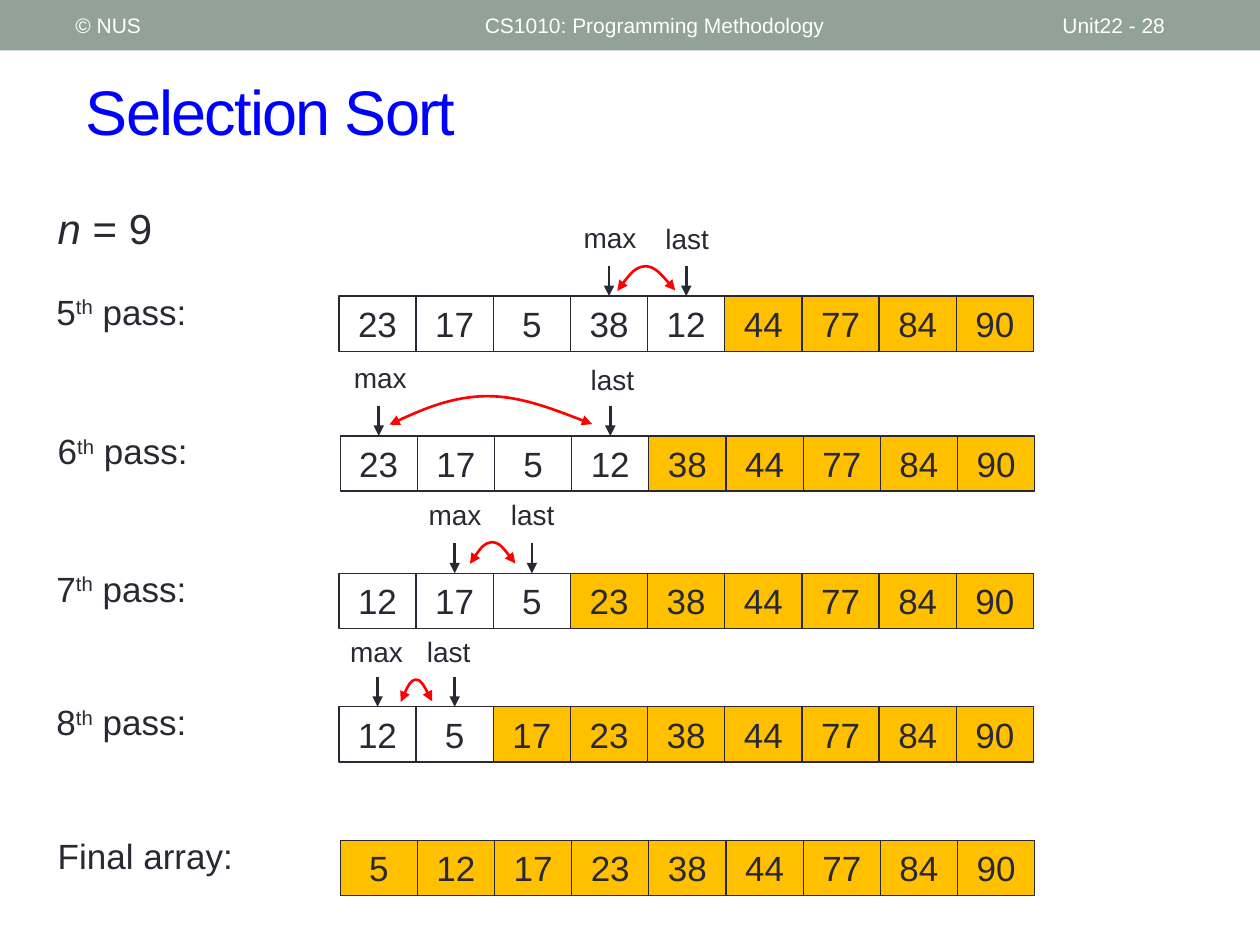
from lxml import etree
from pptx import Presentation
from pptx.dml.color import RGBColor
from pptx.enum.shapes import MSO_CONNECTOR, MSO_SHAPE
from pptx.enum.text import MSO_ANCHOR, PP_ALIGN
from pptx.oxml.ns import qn
from pptx.util import Pt

STRAIGHT = MSO_CONNECTOR.STRAIGHT
RECTANGLE = MSO_SHAPE.RECTANGLE
TOP, MIDDLE = MSO_ANCHOR.TOP, MSO_ANCHOR.MIDDLE
LEFT, CENTER = PP_ALIGN.LEFT, PP_ALIGN.CENTER

FONT = "Arial"
INK, WHITE, BLUE = "292934", "FFFFFF", "0000FF"
SORTED_FILL, SWAP_RED, BAR_FILL = "FFC000", "FF0000", "93A299"

CELL_WIDTH, CELL_HEIGHT = 44.1, 31.5
ARROW_LENGTH = 17.3
TITLE_ONLY = 5

# Points of two Bezier curves, as fractions of the arc's box
ARC_POINTS = [(0.15, 0.5), (0.31, 0.05), (0.47, 0.02),
              (0.64, 0), (0.82, 0.5), (1, 0.98)]

# Each pass: number, left, top, values, count of unsorted values,
# pointers (text, cell, label shift from the cell's top centre),
# swap arc (left, top, width, height) from the row's corner
PASSES = [
    (5, 193.7, 169.2, [23, 17, 5, 38, 12, 44, 77, 84, 90], 5,
     [("max", 3, -21.6, -46.8), ("last", 4, -19, -46.1)],
     (159.1, -17.3, 33.1, 14.4)),
    (6, 194.4, 249.1, [23, 17, 5, 12, 38, 44, 77, 84, 90], 4,
     [("max", 0, -21.3, -46.8), ("last", 3, -18.3, -45.4)],
     (28.1, -23, 115.9, 16.6)),
    (7, 193.7, 327.6, [12, 17, 5, 23, 38, 44, 77, 84, 90], 3,
     [("max", 1, -22, -46.8), ("last", 2, -19, -46.8)],
     (74.9, -18, 25.9, 12.6)),
    (8, 193.7, 403.9, [12, 5, 17, 23, 38, 44, 77, 84, 90], 2,
     [("max", 0, -22.7, -44.6), ("last", 1, -23, -44.6)],
     (35.3, -15.8, 18, 13)),
]
FINAL_ARRAY = [5, 12, 17, 23, 38, 44, 77, 84, 90]


def color(hex_string):
    return RGBColor.from_string(hex_string)


def add_runs(paragraph, texts, size, hex_color):
    runs = []
    for text in texts:
        run = paragraph.add_run()
        run.text = text
        run.font.name = FONT
        run.font.size = Pt(size)
        run.font.color.rgb = color(hex_color)
        runs.append(run)
    return runs


def add_label(slide, box, texts, size, hex_color=INK, anchor=TOP):
    """Add a text box and return its runs."""
    frame = slide.shapes.add_textbox(*map(Pt, box)).text_frame
    frame.word_wrap = True
    frame.vertical_anchor = anchor
    return add_runs(frame.paragraphs[0], texts, size, hex_color)


def add_arrowheads(line, *ends):
    for end in ends:
        etree.SubElement(line._get_or_add_ln(), qn(f"a:{end}"), type="triangle")


def add_header(slide, width, height):
    bar = slide.shapes.add_shape(RECTANGLE, 0, 0, Pt(width), Pt(height))
    bar.shadow.inherit = False
    bar.fill.solid()
    bar.fill.fore_color.rgb = color(BAR_FILL)
    bar.line.fill.background()
    for text, left, label_width in [
        ("© NUS", 36, 228),
        ("CS1010: Programming Methodology", 270, 324),
        ("Unit22 - 28", 600, 84),
    ]:
        add_label(slide, (left, 1.4, label_width, 26), [text], 12, WHITE, MIDDLE)


def format_title(slide, left, top, width, height):
    title = slide.shapes.title
    title.left, title.top, title.width, title.height = map(
        Pt, (left, top, width, height))
    title.text_frame.vertical_anchor = MIDDLE
    paragraph = title.text_frame.paragraphs[0]
    paragraph.alignment = LEFT
    run, = add_runs(paragraph, ["Selection Sort"], 36, BLUE)
    run._r.get_or_add_rPr().set("spc", "-100")


def add_array(slide, left, top, values, unsorted_count):
    """Draw a row of cells and return them."""
    cells = []
    for index, value in enumerate(values):
        cell = slide.shapes.add_shape(
            RECTANGLE, Pt(left + index * CELL_WIDTH), Pt(top),
            Pt(CELL_WIDTH), Pt(CELL_HEIGHT))
        cell.shadow.inherit = False
        if index < unsorted_count:
            cell.fill.background()
        else:
            cell.fill.solid()
            cell.fill.fore_color.rgb = color(SORTED_FILL)
        cell.line.color.rgb = color(INK)
        cell.line.width = Pt(0.75)
        cell.text_frame.vertical_anchor = TOP
        paragraph = cell.text_frame.paragraphs[0]
        paragraph.alignment = CENTER
        add_runs(paragraph, [str(value)], 20, INK)
        cells.append(cell)
    return cells


def add_pointer(slide, cell, text, shift_x, shift_y):
    """Add a label with an arrow down to the middle of a cell's top."""
    center = cell.left.pt + cell.width.pt / 2
    top = cell.top.pt
    arrow = slide.shapes.add_connector(
        STRAIGHT, Pt(center), Pt(top - ARROW_LENGTH), Pt(center), Pt(top))
    arrow.end_connect(cell, 0)
    arrow.line.color.rgb = color(INK)
    arrow.line.width = Pt(1.5)
    add_arrowheads(arrow.line, "tailEnd")
    etree.SubElement(arrow._element.spPr, qn("a:effectLst"))
    add_label(slide, (center + shift_x, top + shift_y, 45.4, 26.6), [text], 16)


def add_swap_arc(slide, left, top, width, height):
    builder = slide.shapes.build_freeform(Pt(left), Pt(top + height))
    builder.add_line_segments(
        [(Pt(left + x * width), Pt(top + y * height)) for x, y in ARC_POINTS],
        close=False)
    arc = builder.convert_to_shape()
    path = arc._element.find(".//" + qn("a:path"))
    segments = path.findall(qn("a:lnTo"))
    for start in range(0, len(segments), 3):
        curve = etree.SubElement(path, qn("a:cubicBezTo"))
        for segment in segments[start:start + 3]:
            curve.append(segment[0])
            path.remove(segment)
    arc.shadow.inherit = False
    arc.fill.background()
    arc.line.color.rgb = color(SWAP_RED)
    arc.line.width = Pt(1.5)
    add_arrowheads(arc.line, "headEnd", "tailEnd")


def add_pass(slide, number, left, top, values, unsorted_count, pointers, arc):
    cells = add_array(slide, left, top, values, unsorted_count)
    runs = add_label(slide, (left - 168.5, top - 7, 100, 31.5),
                     [str(number), "th", " pass:"], 20)
    runs[1]._r.get_or_add_rPr().set("baseline", "30000")
    for text, index, shift_x, shift_y in pointers:
        add_pointer(slide, cells[index], text, shift_x, shift_y)
    arc_left, arc_top, width, height = arc
    add_swap_arc(slide, left + arc_left, top + arc_top, width, height)


def add_final_array(slide, left, top):
    add_array(slide, left, top, FINAL_ARRAY, 0)
    add_label(slide, (left - 168.5, top - 7, 126.7, 31.5), ["Final array:"], 20)


def main():
    presentation = Presentation()
    presentation.slide_width, presentation.slide_height = Pt(720), Pt(540)
    slide = presentation.slides.add_slide(presentation.slide_layouts[TITLE_ONLY])
    add_header(slide, 720, 28.8)
    format_title(slide, 41.8, 30.2, 660.2, 66.2)
    size_runs = add_label(slide, (25.9, 112.3, 100, 36), ["n", " = 9"], 24)
    size_runs[0].font.italic = True
    for sort_pass in PASSES:
        add_pass(slide, *sort_pass)
    add_final_array(slide, 194.4, 480.2)
    presentation.save("out.pptx")


if __name__ == "__main__":
    main()
